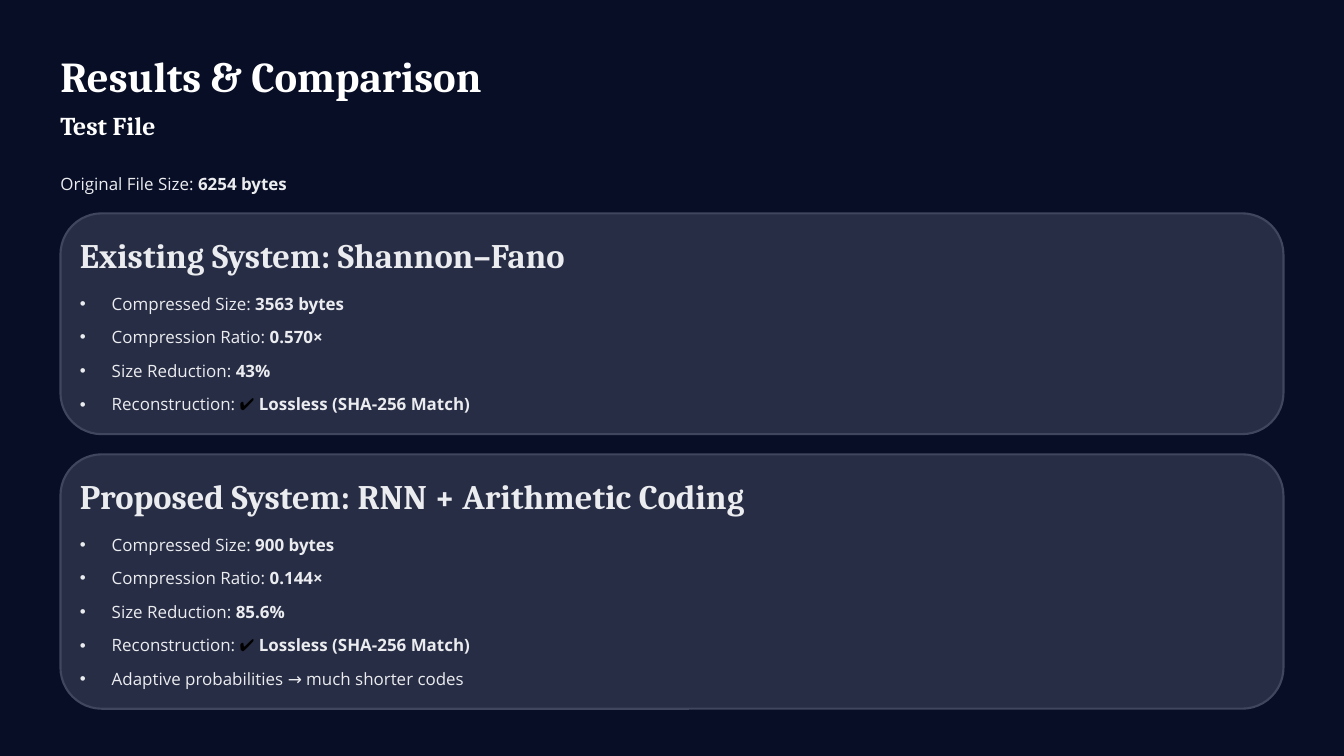
from dataclasses import dataclass

from lxml.etree import SubElement
from pptx import Presentation
from pptx.dml.color import RGBColor as Rgb
from pptx.enum.shapes import MSO_SHAPE as Kind
from pptx.enum.text import MSO_ANCHOR as Anchor, MSO_AUTO_SIZE as Fit, PP_ALIGN as Align
from pptx.oxml.ns import qn
from pptx.util import Inches, Pt

COLORS = {"back": "080E26", "card": "272D45", "edge": "40465E",
          "title": "FFFFFF", "text": "EBECEF", "tick": "000000"}
WIDE, HIGH = Inches(16), Inches(9)
# The grid has 100 columns and 100 rows.
COL, ROW = WIDE / 100, HIGH / 100
LEFT, SPAN = 4.5, 91
PAD = 1.44
TOP, GAP = 28.22, 2.67
HEAD, LIST, PITCH, FOOT = 2.56, 9.62, 4.44, 1.83
ROUND = 5.46
INDENT = Inches(0.38)


@dataclass(frozen=True)
class Style:
    font: str
    size: float
    lead: float
    color: str
    bold: bool = False


@dataclass(frozen=True)
class Fact:
    label: str
    value: str = ""
    tick: bool = False


@dataclass(frozen=True)
class Card:
    head: str
    facts: tuple[Fact, ...]

    @property
    def rows(self) -> float:
        return LIST + PITCH * len(self.facts) + FOOT


TITLE = Style("Cambria", 36.5, 46, "title", True)
SUB = Style("Cambria", 22, 27.5, "title", True)
HEADING = Style("Cambria", 29.5, 36.5, "text", True)
BODY = Style("Open Sans", 14.5, 23.5, "text")

MATCH = Fact("Reconstruction: ", "Lossless (SHA-256 Match)", True)
CARDS = (
    Card("Existing System: Shannon–Fano", (
        Fact("Compressed Size: ", "3563 bytes"),
        Fact("Compression Ratio: ", "0.570×"),
        Fact("Size Reduction: ", "43%"),
        MATCH)),
    Card("Proposed System: RNN + Arithmetic Coding", (
        Fact("Compressed Size: ", "900 bytes"),
        Fact("Compression Ratio: ", "0.144×"),
        Fact("Size Reduction: ", "85.6%"),
        MATCH,
        Fact("Adaptive probabilities → much shorter codes"))),
)


def color(name: str) -> Rgb:
    return Rgb.from_string(COLORS[name])


def place(shape, left: float, top: float, wide: float, high: float) -> None:
    """Put a shape on the grid, in columns and rows."""
    shape.left, shape.top = round(left * COL), round(top * ROW)
    shape.width, shape.height = round(wide * COL), round(high * ROW)


def clear(frame) -> None:
    """Remove the margins and automatic sizing of a text frame."""
    frame.margin_left = frame.margin_right = 0
    frame.margin_top = frame.margin_bottom = 0
    frame.word_wrap = True
    frame.auto_size = Fit.NONE
    frame.vertical_anchor = Anchor.TOP


def paint(run, style: Style, tone: str, bold: bool) -> None:
    font = run.font
    font.name, font.size, font.bold = style.font, Pt(style.size), bold
    font.color.rgb = color(tone)


def write(para, fact: Fact, style: Style) -> None:
    """Fill a paragraph with a label, a tick if any, and a bold value."""
    para.text = fact.label
    para.alignment = Align.LEFT
    para.line_spacing = Pt(style.lead)
    para.space_before = para.space_after = Pt(0)
    paint(para.runs[0], style, style.color, style.bold)
    parts = [("✔ ", "tick", False)] if fact.tick else []
    if fact.value:
        parts.append((fact.value, style.color, True))
    for text, tone, bold in parts:
        run = para.add_run()
        run.text = text
        paint(run, style, tone, bold)


def draw_line(shape, fact: Fact, style: Style, left: float, top: float) -> None:
    place(shape, left, top, 100 - 2 * left, style.lead / 6.48)
    clear(shape.text_frame)
    write(shape.text_frame.paragraphs[0], fact, style)


def draw_list(shape, facts: tuple[Fact, ...], left: float, top: float) -> None:
    place(shape, left, top, 100 - 2 * left, PITCH * len(facts))
    frame = shape.text_frame
    clear(frame)
    for i, fact in enumerate(facts):
        para = frame.add_paragraph() if i else frame.paragraphs[0]
        props = para._p.get_or_add_pPr()
        props.set("marL", str(INDENT))
        props.set("indent", str(-INDENT))
        SubElement(props, qn("a:buChar"), char="•")
        write(para, fact, BODY)
        if i:
            para.space_before = Pt(5.3)


def draw_card(slide, card: Card, body, top: float) -> None:
    panel = slide.shapes.add_shape(Kind.ROUNDED_RECTANGLE, 0, 0, 1, 1)
    place(panel, LEFT, top, SPAN, card.rows)
    panel.adjustments[0] = ROUND / card.rows
    panel.shadow.inherit = False
    panel.fill.solid()
    panel.fill.fore_color.rgb = color("card")
    panel.line.color.rgb = color("edge")
    panel.line.width = Pt(1.8)
    head = slide.shapes.add_textbox(0, 0, 1, 1)
    draw_line(head, Fact(card.head), HEADING, LEFT + PAD, top + HEAD)
    # The list belongs in front of its panel.
    body.element.getparent().append(body.element)
    draw_list(body, card.facts, LEFT + PAD, top + LIST)


def main() -> None:
    deck = Presentation()
    deck.slide_width, deck.slide_height = WIDE, HIGH
    slide = deck.slides.add_slide(deck.slide_layouts.get_by_name("Two Content"))
    slide.background.fill.solid()
    slide.background.fill.fore_color.rgb = color("back")
    title, *lists = [s for s in slide.placeholders]

    draw_line(title, Fact("Results & Comparison"), TITLE, LEFT, 6.22)
    for fact, style, top in (
            (Fact("Test File"), SUB, 14.33),
            (Fact("Original File Size: ", "6254 bytes"), BODY, 22)):
        draw_line(slide.shapes.add_textbox(0, 0, 1, 1), fact, style, LEFT, top)

    top = TOP
    for card, body in zip(CARDS, lists):
        draw_card(slide, card, body, top)
        top += card.rows + GAP
    deck.save("out.pptx")


if __name__ == "__main__":
    main()
